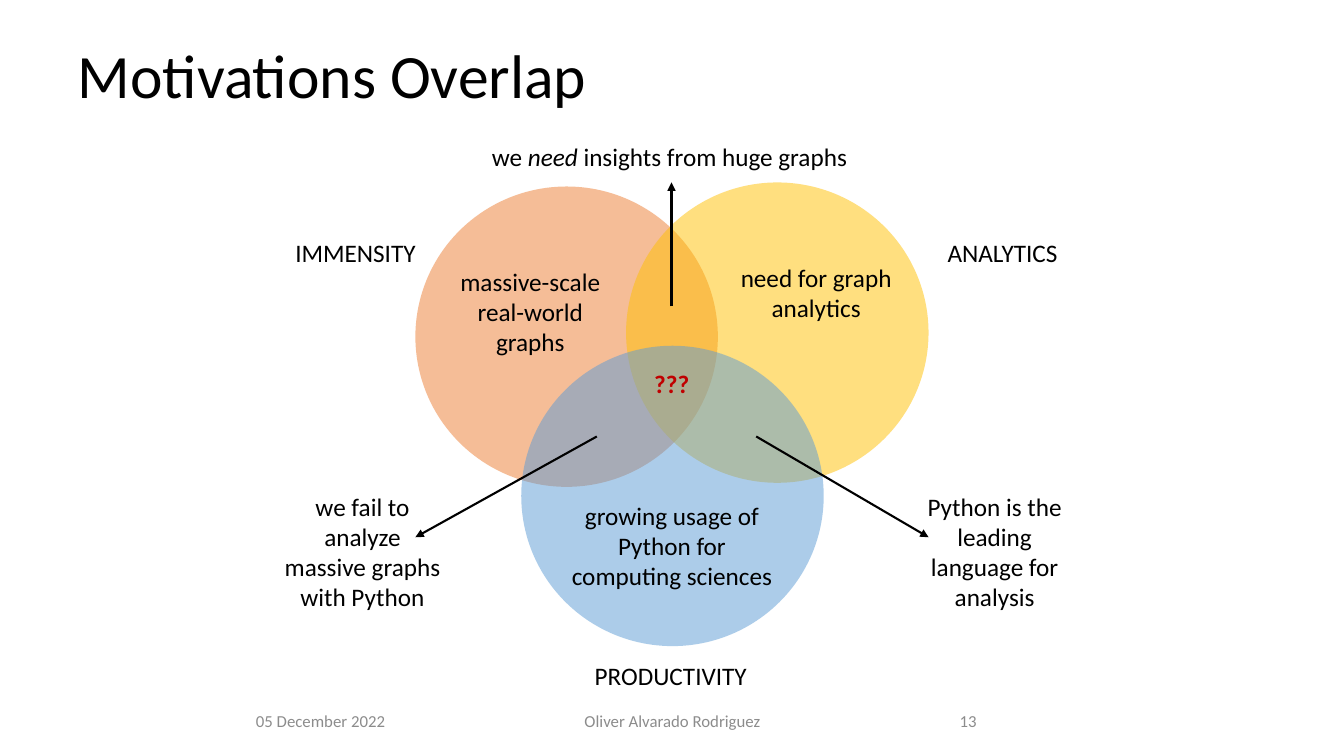
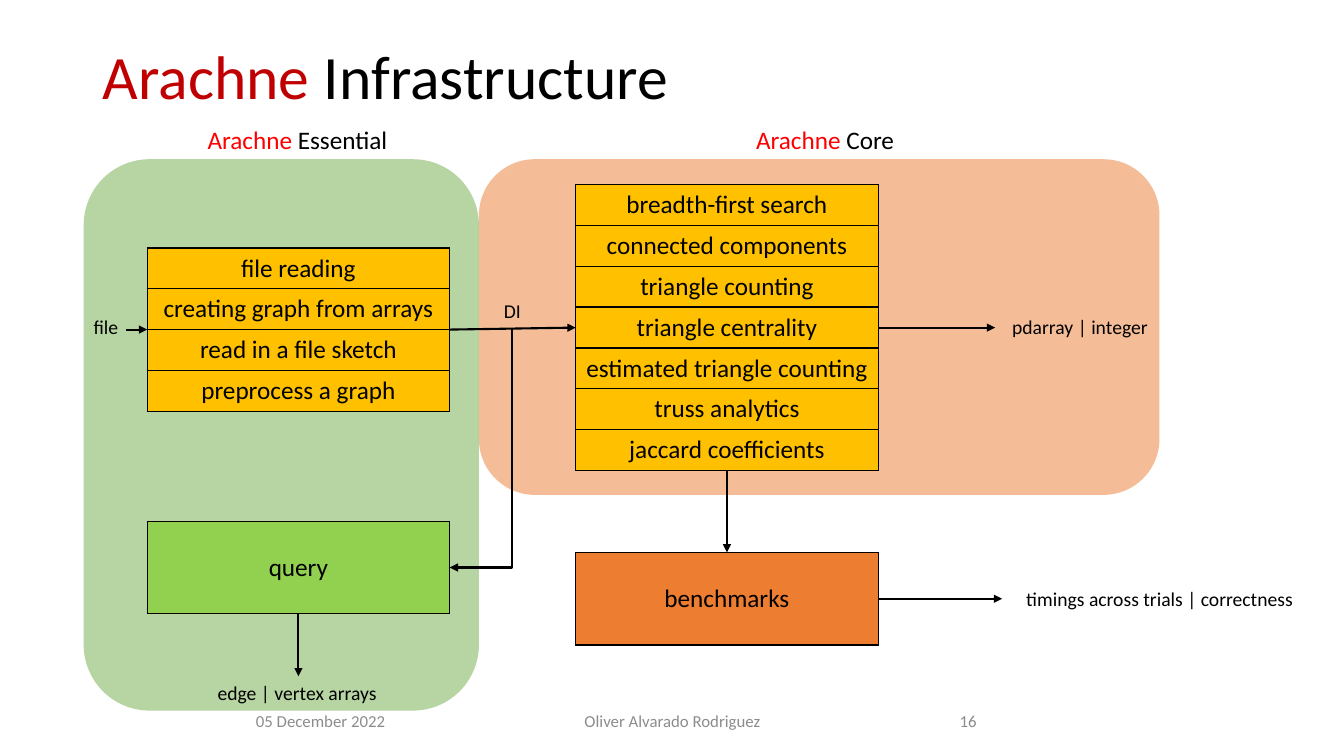
import pptx
import pptx.dml.color
import pptx.enum.shapes
import pptx.enum.text
import pptx.oxml
import pptx.oxml.ns
import pptx.util

Inches = pptx.util.Inches
Pt = pptx.util.Pt
Align = pptx.enum.text.PP_ALIGN
Anchor = pptx.enum.text.MSO_ANCHOR
AutoSize = pptx.enum.text.MSO_AUTO_SIZE
Shapes = pptx.enum.shapes.MSO_SHAPE
Connectors = pptx.enum.shapes.MSO_CONNECTOR
qn = pptx.oxml.ns.qn

COLORS = {
    "black": "000000",
    "gray": "8C8C8C",
    "dark red": "C00000",
    "red": "FF0000",
    "orange": "ED7D31",
    "amber": "FFC000",
    "blue": "5B9BD5",
    "green": "70AD47",
    "lime": "92D050",
}
TOP, LEFT, BOTTOM, RIGHT = range(4)


def rgb(name):
    return pptx.dml.color.RGBColor.from_string(COLORS[name])


def add_xml(parent, tag, **attributes):
    child = pptx.oxml.parse_xml(
        f'<{tag} xmlns:a="http://schemas.openxmlformats.org/drawingml/2006/main"/>')
    for name, value in attributes.items():
        child.set(name, str(value))
    parent.append(child)
    return child


class Deck:
    font = "Calibri"
    body_size = 18
    label_size = 14
    footer_size = 12
    title_size = 44
    line_width = 1.5
    border_width = 1

    def __init__(self):
        self.presentation = pptx.Presentation()
        self.presentation.slide_width = Inches(13.33)
        self.presentation.slide_height = Inches(7.5)
        self.slide = None

    def new_slide(self, title, title_box, number):
        layout = self.presentation.slide_layouts.get_by_name("Title Only")
        self.slide = self.presentation.slides.add_slide(layout)
        shape = self.slide.shapes.title
        shape.left, shape.top, shape.width, shape.height = map(Inches, title_box)
        self.add_runs(shape.text_frame, title, self.title_size, Align.LEFT)
        shape.text_frame.paragraphs[0].line_spacing = 0.9
        shape.text_frame.vertical_anchor = Anchor.MIDDLE
        shape.text_frame.auto_size = AutoSize.NONE
        footers = [
            (0.92, 3, "05 December 2022", Align.RIGHT),
            (4.42, 4.5, "Oliver Alvarado Rodriguez", Align.CENTER),
            (9.42, 3, str(number), Align.LEFT),
        ]
        for left, width, words, align in footers:
            frame = self.text((left, 6.95, width, 0.4), [(words, {"color": "gray"})],
                              self.footer_size, align).text_frame
            frame.auto_size = AutoSize.NONE
            frame.vertical_anchor = Anchor.MIDDLE

    def add_runs(self, frame, content, size, align):
        """Fill a text frame with a string or a list of (words, formats) runs."""
        paragraph = frame.paragraphs[0]
        paragraph.alignment = align
        runs = [(content, {})] if isinstance(content, str) else content
        for words, formats in runs:
            run = paragraph.add_run()
            run.text = words
            values = {"name": self.font, "size": Pt(size), **formats}
            run.font.color.rgb = rgb(values.pop("color", "black"))
            for name, value in values.items():
                setattr(run.font, name, value)

    def text(self, box, content, size=body_size, align=Align.CENTER, wrap=True):
        shape = self.slide.shapes.add_textbox(*map(Inches, box))
        shape.text_frame.word_wrap = wrap
        shape.text_frame.auto_size = AutoSize.SHAPE_TO_FIT_TEXT
        self.add_runs(shape.text_frame, content, size, align)
        return shape

    def label(self, box, content, size=body_size):
        """Add a single line of text that does not wrap."""
        return self.text(box, content, size, Align.LEFT, wrap=False)

    def tinted_shape(self, kind, box, color):
        """Add a half-transparent shape without an outline."""
        shape = self.slide.shapes.add_shape(kind, *map(Inches, box))
        shape.shadow.inherit = False
        shape.line.fill.background()
        shape.fill.solid()
        shape.fill.fore_color.rgb = rgb(color)
        tint = shape._element.spPr.find(qn("a:solidFill")).find(qn("a:srgbClr"))
        add_xml(tint, "a:alpha", val=50000)

    def stack(self, box, rows, color):
        """Add a one-column table with bordered, filled cells."""
        frame = self.slide.shapes.add_table(len(rows), 1, *map(Inches, box))
        table = frame.table
        table.first_row = table.horz_banding = False
        for row, words in enumerate(rows):
            cell = table.cell(row, 0)
            cell.vertical_anchor = Anchor.MIDDLE
            self.add_runs(cell.text_frame, words, self.body_size, Align.CENTER)
            properties = cell._tc.get_or_add_tcPr()
            for side in "LRTB":
                border = add_xml(properties, f"a:ln{side}", w=int(Pt(self.border_width)))
                fill = add_xml(border, "a:solidFill")
                add_xml(fill, "a:srgbClr", val=COLORS["black"])
            cell.fill.solid()
            cell.fill.fore_color.rgb = rgb(color)
        return frame

    def arrow(self, start, end, source=None, target=None,
              kind=Connectors.STRAIGHT):
        """Draw an arrow; source and target are (shape, side) pairs to join."""
        connector = self.slide.shapes.add_connector(
            kind, *map(Inches, (*start, *end)))
        if source:
            connector.begin_connect(*source)
        if target:
            connector.end_connect(*target)
        connector.line.color.rgb = rgb("black")
        connector.line.width = Pt(self.line_width)
        properties = connector._element.spPr
        add_xml(properties.find(qn("a:ln")), "a:tailEnd", type="triangle")
        add_xml(properties, "a:effectLst")
        return connector

    def corner_arrow(self, start, end):
        """Draw an arrow that runs down from start, then left to end."""
        down, across = end[1] - start[1], start[0] - end[0]
        left = (start[0] + end[0] - down) / 2
        top = (start[1] + end[1] - across) / 2
        connector = self.arrow((left, top), (left + down, top + across),
                               kind=Connectors.ELBOW)
        properties = connector._element.spPr
        properties.find(qn("a:prstGeom")).set("prst", "bentConnector2")
        properties.find(qn("a:xfrm")).set("rot", str(90 * 60000))


def motivations_slide(deck):
    deck.new_slide("Motivations Overlap", (0.67, 0.05, 11.5, 1.45), 13)
    circles = [(4.12, 1.85, "orange"), (6.21, 1.81, "amber"), (5.17, 3.43, "blue")]
    for left, top, color in circles:
        deck.tinted_shape(Shapes.OVAL, (left, top, 3, 2.98), color)

    for start, end in [((5.92, 4.33), (4.12, 5.33)),
                       ((7.5, 4.33), (9.21, 5.33)),
                       ((6.66, 3.04), (6.66, 1.81))]:
        deck.arrow(start, end)

    for box, words in [
        ((4.31, 2.59, 1.9, 1.01), "massive-scale real-world graphs"),
        ((7.22, 2.55, 1.75, 0.71), "need for graph analytics"),
        ((5.56, 4.91, 2.21, 1.01), "growing usage of Python for computing sciences"),
        ((2.69, 4.82, 1.81, 1.31), "we fail to analyze massive graphs with Python"),
        ((8.96, 4.82, 1.81, 1.31), "Python is the leading language for analysis"),
    ]:
        deck.text(box, words)

    insights = [("we ", {}), ("need", {"italic": True}),
                (" insights from huge graphs", {})]
    for box, content in [
        ((6.39, 3.6, 0.55, 0.4), [("???", {"color": "dark red", "bold": True})]),
        ((4.78, 1.35, 3.77, 0.4), insights),
        ((2.83, 2.31, 1.41, 0.4), "IMMENSITY"),
        ((9.3, 2.31, 1.3, 0.4), "ANALYTICS"),
        ((5.8, 6.5, 1.72, 0.4), "PRODUCTIVITY"),
    ]:
        deck.label(box, content)


def infrastructure_slide(deck):
    def arachne(rest, color):
        return [("Arachne", {"color": color}), (rest, {})]

    deck.new_slide(arachne(" Infrastructure", "dark red"),
                   (0.92, 0.4, 11.5, 0.78), 16)
    # Panels go behind the footers, which were added with the slide
    shape_tree = deck.slide.shapes._spTree
    footers = list(deck.slide.shapes)[1:]
    deck.tinted_shape(Shapes.ROUNDED_RECTANGLE, (0.83, 1.58, 3.92, 5.47), "green")
    deck.tinted_shape(Shapes.ROUNDED_RECTANGLE, (4.75, 1.58, 6.75, 3.33), "orange")
    for footer in footers:
        shape_tree.append(footer._element)
    deck.label((1.96, 1.18, 2.01, 0.4), arachne(" Essential", "red"))
    deck.label((7.4, 1.18, 1.59, 0.4), arachne(" Core", "red"))

    essential = deck.stack((1.46, 2.46, 3, 1.62), [
        "file reading", "creating graph from arrays",
        "read in a file sketch", "preprocess a graph"], "amber")
    core = deck.stack((5.71, 1.83, 3, 2.84), [
        "breadth-first search", "connected components", "triangle counting",
        "triangle centrality", "estimated triangle counting",
        "truss analytics", "jaccard coefficients"], "amber")
    benchmarks = deck.stack((5.71, 5.48, 3, 0.92), ["benchmarks"], "orange")
    query = deck.stack((1.46, 5.17, 3, 0.92), ["query"], "lime")

    size = deck.label_size
    deck.text((0.83, 3.08, 0.45, 0.34), "file", size, Align.LEFT)
    deck.label((4.9, 2.92, 0.37, 0.34), "DI", size)
    deck.label((9.94, 3.08, 1.56, 0.34), "pdarray | integer", size)
    arrays = deck.label((2.06, 6.71, 1.8, 0.34), "edge | vertex arrays", size)
    deck.label((10.08, 5.77, 2.88, 0.34), "timings across trials | correctness", size)

    deck.arrow((1.25, 3.27), (1.46, 3.27), target=(essential, LEFT))
    deck.arrow((4.46, 3.27), (5.71, 3.25), (essential, RIGHT), (core, LEFT))
    deck.arrow((8.71, 3.25), (9.87, 3.25), (core, RIGHT))
    deck.arrow((2.96, 6.09), (2.96, 6.71), (query, BOTTOM), (arrays, TOP))
    deck.arrow((7.21, 4.67), (7.21, 5.48), (core, BOTTOM), (benchmarks, TOP))
    deck.arrow((8.71, 5.94), (9.94, 5.94), (benchmarks, RIGHT))
    deck.corner_arrow((5.08, 3.25), (4.46, 5.63))


def main():
    deck = Deck()
    motivations_slide(deck)
    infrastructure_slide(deck)
    deck.presentation.save("out.pptx")


if __name__ == "__main__":
    main()
